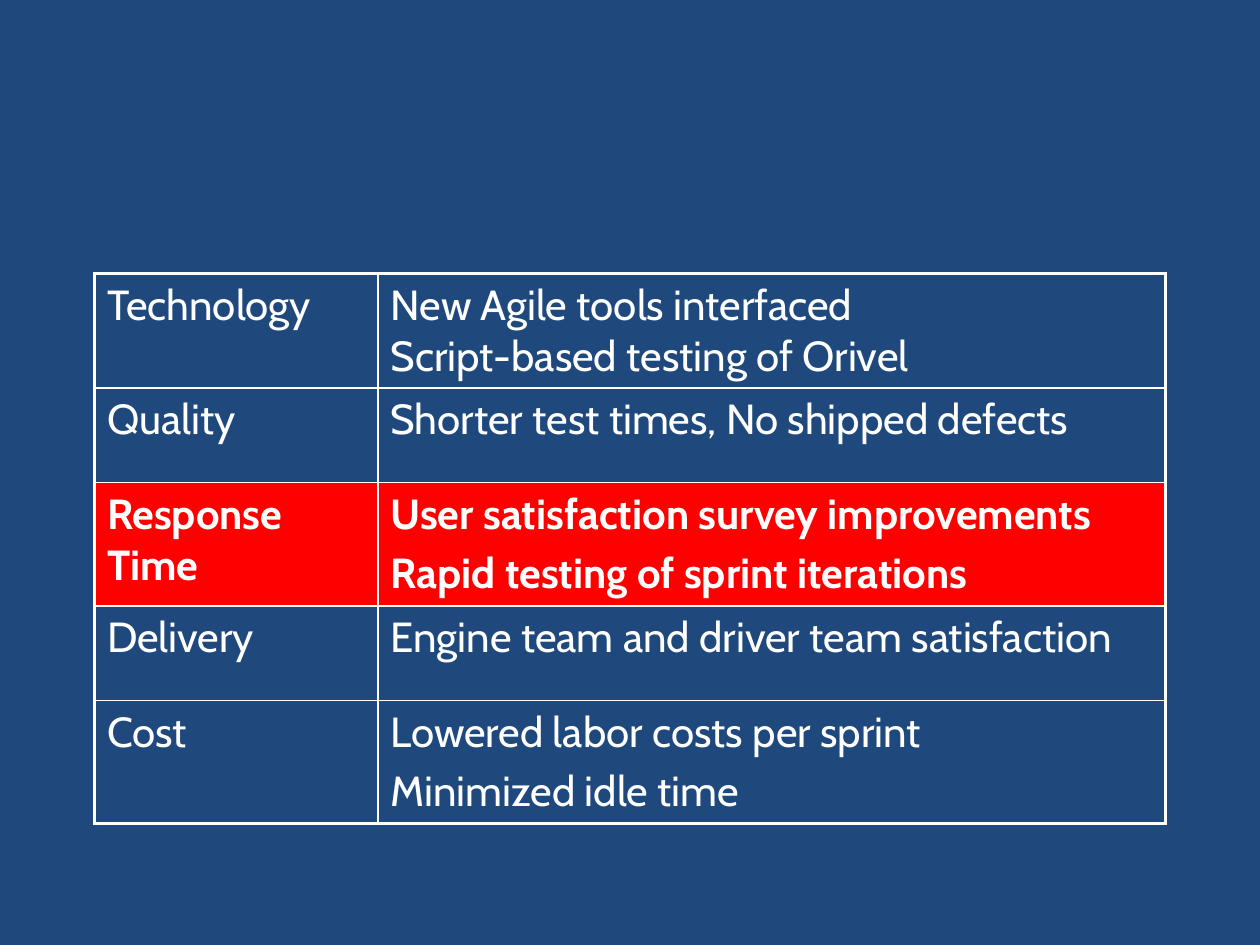
from dataclasses import dataclass

from lxml.etree import SubElement
from pptx import Presentation
from pptx.dml.color import RGBColor as Color
from pptx.oxml.ns import qn
from pptx.util import Inches, Pt


@dataclass(frozen=True)
class Theme:
    background: str = "1F497D"
    text: str = "FFFFFF"
    highlight: str = "FF0000"
    font: str = "Cabin"
    size: int = 24
    outer_line: float = 2.25
    inner_line: float = 1


THEME = Theme()
COLUMN_WIDTHS = (2.25, 6.25)
ROW_HEIGHTS = (0.75, 0.75, 0.75, 0.75, 0.9)
HIGHLIGHTED = "Response Time"
GOALS = (
    ("Technology", ("New Agile tools interfaced\vScript-based testing of Orivel",)),
    ("Quality", ("Shorter test times, No shipped defects",)),
    (HIGHLIGHTED, ("User satisfaction survey improvements", "Rapid testing of sprint iterations")),
    ("Delivery", ("Engine team and driver team satisfaction",)),
    ("Cost", ("Lowered labor costs per sprint", "Minimized idle time")),
)


def set_attributes(target, values):
    for name, value in values.items():
        setattr(target, name, value)


def write_cell(cell, lines, bold):
    frame = cell.text_frame
    for index, line in enumerate(lines):
        paragraph = frame.add_paragraph() if index else frame.paragraphs[0]
        paragraph.text = line
        if index:
            paragraph.space_before = Pt(THEME.size * 0.2)
        for run in paragraph.runs:
            set_attributes(run.font, {"name": THEME.font, "size": Pt(THEME.size), "bold": bold})
            run.font.color.rgb = Color.from_string(THEME.text)


def fill_cell(cell, highlighted):
    if highlighted:
        cell.fill.solid()
        cell.fill.fore_color.rgb = Color.from_string(THEME.highlight)
    else:
        cell.fill.background()


def draw_borders(cell, outer_sides):
    properties = cell._tc.get_or_add_tcPr()
    for index, side in enumerate("LRTB"):
        width = THEME.outer_line if side in outer_sides else THEME.inner_line
        line = SubElement(properties, qn(f"a:ln{side}"), w=str(Pt(width)))
        solid = SubElement(line, qn("a:solidFill"))
        SubElement(solid, qn("a:srgbClr"), val=THEME.text)
        properties.insert(index, line)


def add_goal_table(slide, left, top, width, height):
    rows, columns = len(GOALS), len(COLUMN_WIDTHS)
    table = slide.shapes.add_table(rows, columns, left, top, width, height).table
    set_attributes(table, {"first_row": False, "horz_banding": False})
    for column, size in zip(table.columns, COLUMN_WIDTHS):
        column.width = Inches(size)
    for row, size in zip(table.rows, ROW_HEIGHTS):
        row.height = Inches(size)
    for row_index, (goal, results) in enumerate(GOALS):
        highlighted = goal == HIGHLIGHTED
        for column_index, lines in enumerate(((goal,), results)):
            cell = table.cell(row_index, column_index)
            edges = {
                "L": column_index == 0,
                "R": column_index == columns - 1,
                "T": row_index == 0,
                "B": row_index == rows - 1,
            }
            write_cell(cell, lines, highlighted)
            fill_cell(cell, highlighted)
            draw_borders(cell, [side for side, outer in edges.items() if outer])


def main():
    presentation = Presentation()
    set_attributes(presentation, {"slide_width": Inches(10), "slide_height": Inches(7.5)})
    slide = presentation.slides.add_slide(presentation.slide_layouts[6])
    slide.background.fill.solid()
    slide.background.fill.fore_color.rgb = Color.from_string(THEME.background)
    add_goal_table(
        slide, Inches(0.75), Inches(2.17), Inches(sum(COLUMN_WIDTHS)), Inches(sum(ROW_HEIGHTS))
    )
    presentation.save("out.pptx")


if __name__ == "__main__":
    main()
